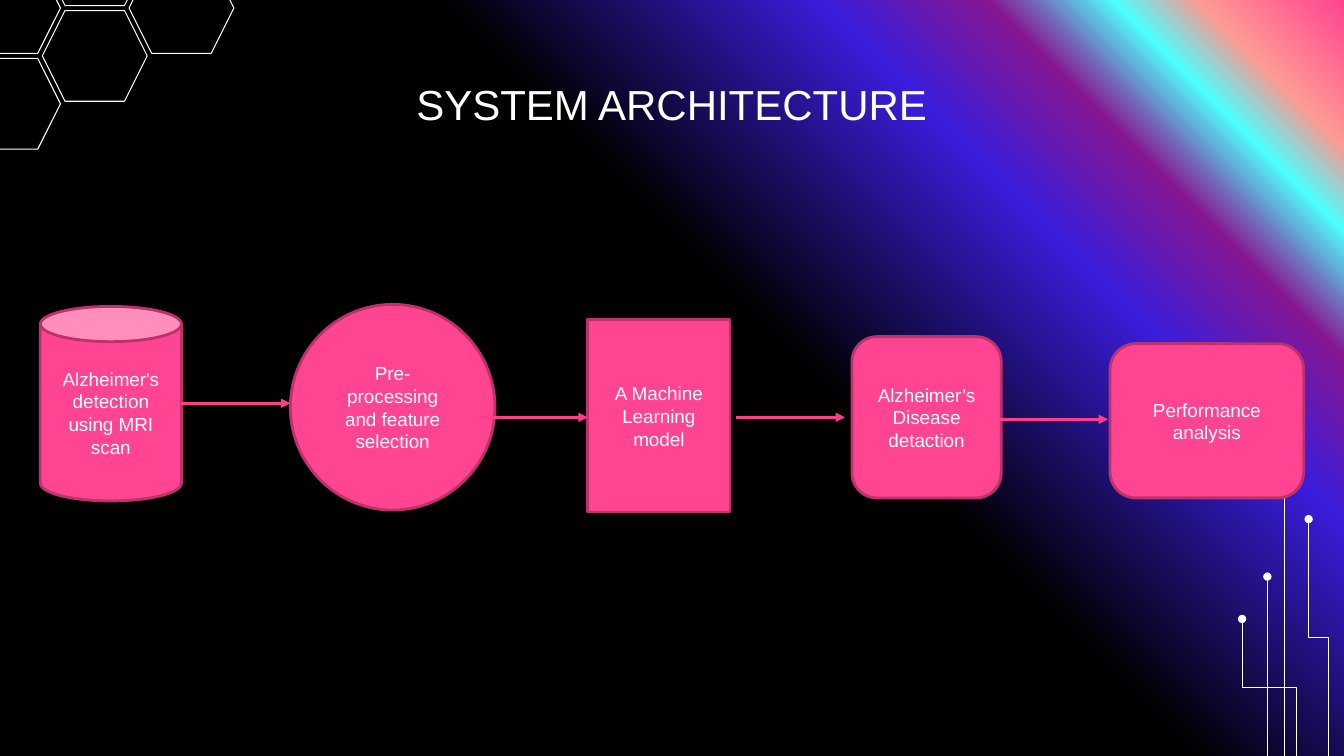
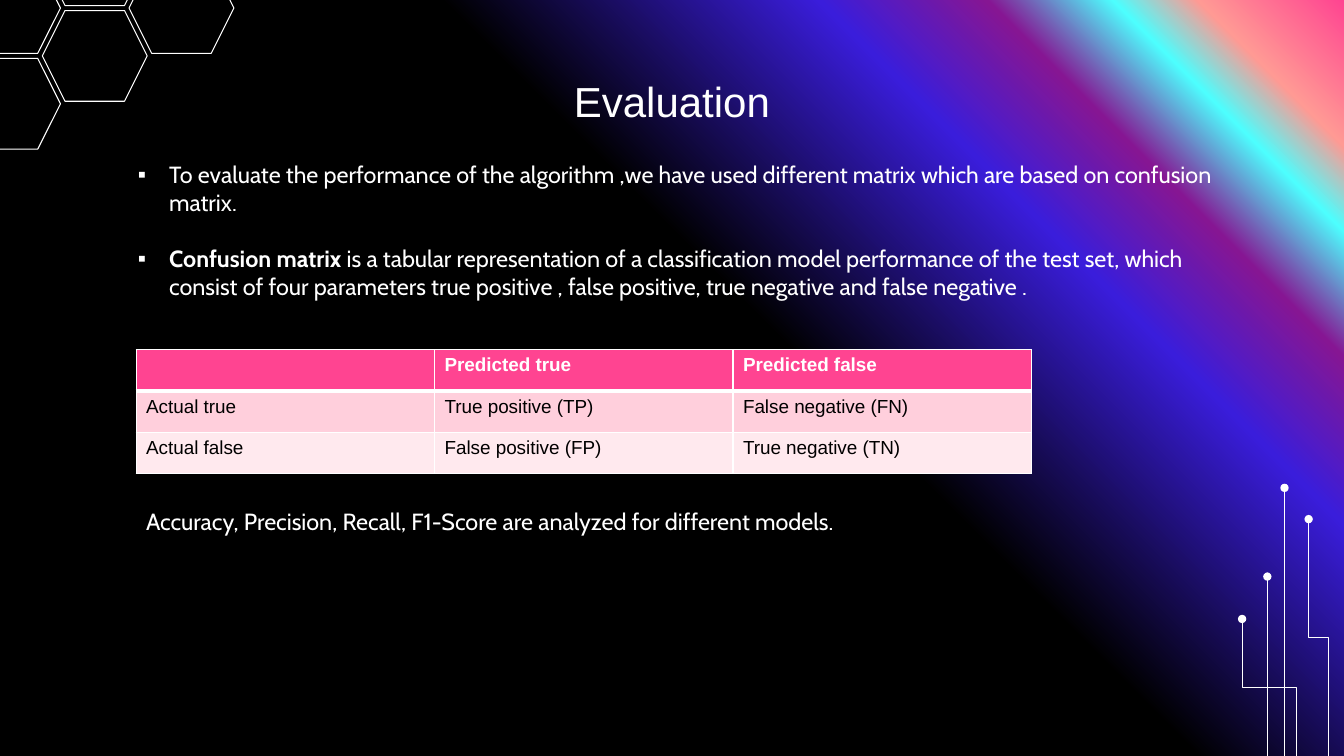
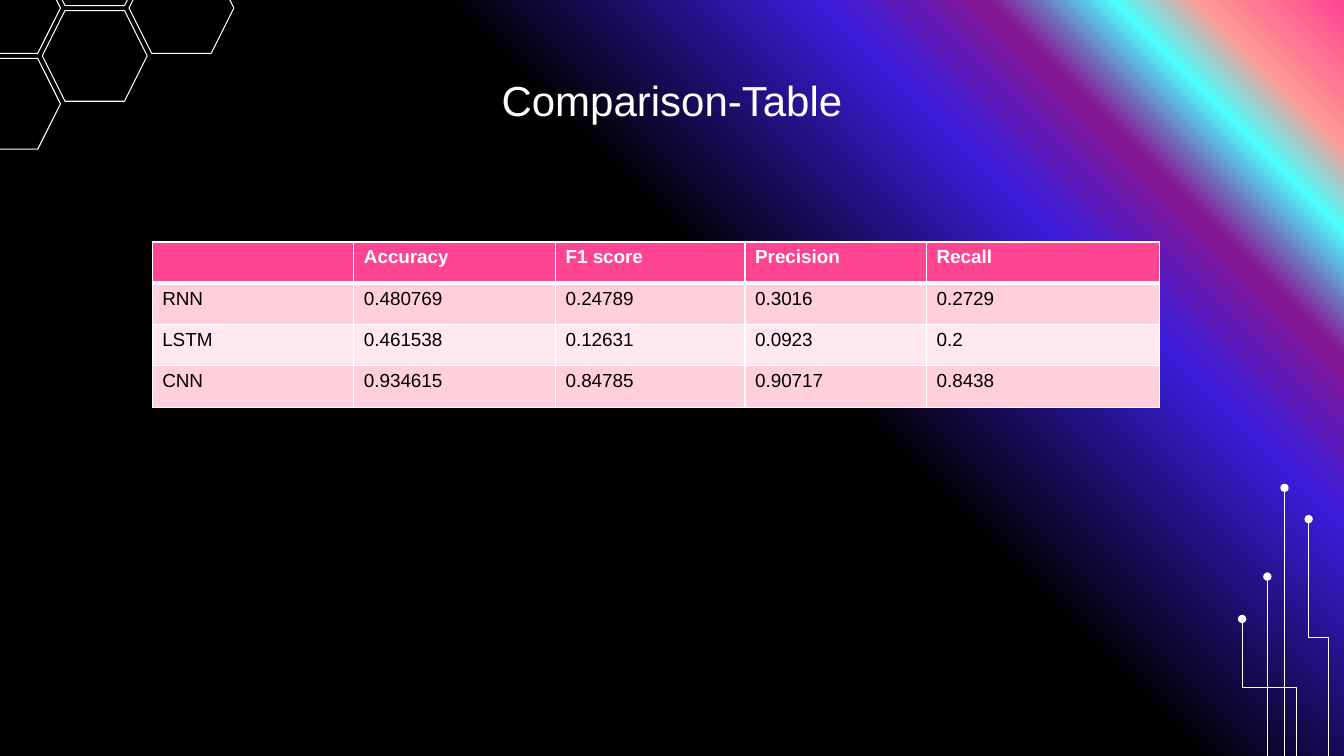
from lxml import etree
from pptx import Presentation
from pptx.dml.color import RGBColor
from pptx.enum.shapes import MSO_CONNECTOR, MSO_SHAPE
from pptx.enum.text import MSO_ANCHOR, PP_ALIGN
from pptx.oxml.ns import qn
from pptx.util import Inches, Pt

STRAIGHT, ELBOW = MSO_CONNECTOR.STRAIGHT, MSO_CONNECTOR.ELBOW
HEXAGON, CAN, OVAL = MSO_SHAPE.HEXAGON, MSO_SHAPE.CAN, MSO_SHAPE.OVAL
RECT, ROUND = MSO_SHAPE.RECTANGLE, MSO_SHAPE.ROUNDED_RECTANGLE
LEFT, CENTER = PP_ALIGN.LEFT, PP_ALIGN.CENTER
TOP, MIDDLE = MSO_ANCHOR.TOP, MSO_ANCHOR.MIDDLE

SLIDE_W, SLIDE_H = 13.33, 7.5
MARGIN, CONTENT_W = 1.05, 11.23
HEAD_FONT, BODY_FONT = "Arial", "Cabin"
TITLE_SIZE, BODY_SIZE, LABEL_SIZE = 30, 16.7, 13.5
COLORS = {
    "white": "FFFFFF", "black": "000000", "pink": "FF4491", "edge": "BD326B",
    "arrow": "FE3E8D", "band_dark": "FFCFDC", "band_light": "FFE9EE",
    "peach": "FF9A94", "cyan": "4DFFFF", "purple": "861693", "blue": "3A1DDB",
}
GRADIENT = [(0, "pink"), (7, "peach"), (11, "cyan"), (17, "purple"),
            (25, "blue"), (43, "black"), (100, "black")]


def rgb(name):
    """Return a palette colour."""
    return RGBColor.from_string(COLORS[name])


def add_xml(parent, tag, **attrs):
    """Append a child element with the given attributes."""
    return etree.SubElement(parent, qn(tag), attrs)


def add_color(parent, name):
    """Append a palette colour element."""
    return add_xml(parent, "a:srgbClr", val=COLORS[name])


def set_font(p, size, font=HEAD_FONT, color="white", bold=False, align=LEFT):
    """Set the font and alignment of a paragraph."""
    p.alignment = align
    p.font.size, p.font.name, p.font.bold = Pt(size), font, bold
    p.font.color.rgb = rgb(color)


def add_text(slide, box, inset=None):
    """Add a wrapping text box and return its text frame."""
    tf = slide.shapes.add_textbox(*map(Inches, box)).text_frame
    tf.word_wrap, tf.vertical_anchor = True, TOP
    if inset is not None:
        tf.margin_left = tf.margin_right = Inches(inset)
        tf.margin_top = tf.margin_bottom = Inches(inset)
    return tf


def add_line(shapes, kind, start, end, color, width, tip):
    """Add a connector with a tip at its end."""
    c = shapes.add_connector(kind, *map(Inches, (*start, *end)))
    c.line.color.rgb, c.line.width = rgb(color), Pt(width)
    sp_pr = c.element.spPr
    add_xml(sp_pr.find(qn("a:ln")), "a:tailEnd", type=tip)
    add_xml(sp_pr, "a:effectLst")
    return c


def set_background(master):
    """Fill the master with a gradient that starts at the top right corner."""
    master.background.fill.solid()
    bg = master.element.xpath("p:cSld/p:bg/p:bgPr")[0]
    bg.remove(bg[0])
    grad = etree.Element(qn("a:gradFill"), rotWithShape="1")
    bg.insert(0, grad)
    stops = add_xml(grad, "a:gsLst")
    for pos, name in GRADIENT:
        add_color(add_xml(stops, "a:gs", pos=str(pos * 1000)), name)
    path = add_xml(grad, "a:path", path="circle")
    add_xml(path, "a:fillToRect", l="100000", b="100000")
    add_xml(grad, "a:tileRect", t="-100000", r="-100000")


def add_honeycomb(shapes, x, y):
    """Outline five hexagons on a staggered grid."""
    col_w, row_h = 0.86, 0.95
    for col, row in [(1, -0.5), (0, 0), (1, 0.5), (0, 1), (2, 0)]:
        at = (x + col * col_w, y + row * row_h, 1.04, 0.9)
        sp = shapes.add_shape(HEXAGON, *map(Inches, at))
        sp.shadow.inherit = False
        sp.adjustments[0] = 0.25
        sp.fill.background()
        sp.line.color.rgb, sp.line.width = rgb("white"), Pt(0.75)


def add_circuit(shapes, bottom):
    """Draw circuit traces that rise from the bottom edge."""
    for x0, x1, top in [(13.18, 12.98, 5.15), (12.57, 12.57, 5.72),
                        (12.74, 12.74, 4.84), (12.86, 12.32, 6.14)]:
        if x0 == x1:
            add_line(shapes, STRAIGHT, (x0, bottom), (x1, top), "white", 0.75, "oval")
            continue
        cx, cy = (x0 + x1) / 2, (bottom + top) / 2
        half_w, half_h = (x0 - x1) / 2, (bottom - top) / 2
        c = add_line(shapes, ELBOW, (cx + half_h, cy - half_w),
                     (cx - half_h, cy + half_w), "white", 0.75, "oval")
        c.element.spPr.xfrm.set("rot", "5400000")


def add_decor(slide, layout):
    """Build the shared decoration and place it on the layout."""
    for draw, place in [(add_honeycomb, (-0.44, -0.37)), (add_circuit, (SLIDE_H,))]:
        group = slide.shapes.add_group_shape()
        draw(group.shapes, *place)
        layout.shapes.element.append(group.element)


def add_title(slide, text, top):
    """Add the centred slide title."""
    tf = add_text(slide, (MARGIN, top, CONTENT_W, 0.84), 0.1)
    tf.text = text
    set_font(tf.paragraphs[0], TITLE_SIZE, align=CENTER)


def add_flow(slide, x, y, steps, arrows):
    """Add the process steps and the arrows between them."""
    for kind, dx, dy, w, h, text in steps:
        sp = slide.shapes.add_shape(kind, *map(Inches, (x + dx, y + dy, w, h)))
        sp.shadow.inherit = False
        sp.fill.solid()
        sp.fill.fore_color.rgb = rgb("pink")
        sp.line.color.rgb, sp.line.width = rgb("edge"), Pt(2)
        tf = sp.text_frame
        tf.text, tf.word_wrap, tf.vertical_anchor = text, True, MIDDLE
        for p in tf.paragraphs:
            set_font(p, LABEL_SIZE, align=CENTER)
    for dx, dy in arrows:
        start, end = (x + dx, y + dy), (x + dx + 1.08, y + dy)
        add_line(slide.shapes, STRAIGHT, start, end, "arrow", 2.25, "triangle")


def add_bullets(slide, box, items):
    """Add bulleted paragraphs, each with an optional bold lead."""
    tf = add_text(slide, box, 0.1)
    for i, (lead, text) in enumerate(items):
        p = tf.add_paragraph() if i else tf.paragraphs[0]
        p_pr = p._p.get_or_add_pPr()
        p_pr.set("marL", str(Inches(0.53)))
        p_pr.set("indent", str(Inches(-0.31)))
        add_color(add_xml(p_pr, "a:buClr"), "white")
        add_xml(p_pr, "a:buFont", typeface=HEAD_FONT)
        add_xml(p_pr, "a:buChar", char="▪")
        if lead:
            r = p.add_run()
            r.text, r.font.bold = lead, True
        p.add_run().text = text
        p.space_before = Pt(20 if i else 0)
        set_font(p, BODY_SIZE, BODY_FONT)


def set_borders(cell, top, bottom):
    """Give a cell white borders of the given top and bottom widths."""
    tc_pr = cell._tc.get_or_add_tcPr()
    for i, (side, width) in enumerate([("L", 1), ("R", 1), ("T", top), ("B", bottom)]):
        ln = etree.Element(qn("a:ln" + side), w=str(Pt(width)))
        add_color(add_xml(ln, "a:solidFill"), "white")
        tc_pr.insert(i, ln)


def add_grid(slide, x, y, widths, rows):
    """Add a table with a pink header and banded rows."""
    row_h = 0.41
    size = (sum(widths), row_h * len(rows))
    table = slide.shapes.add_table(len(rows), len(widths),
                                   *map(Inches, (x, y, *size))).table
    table.horz_banding = False
    for col, width in zip(table.columns, widths):
        col.width = Inches(width)
    for i, row in enumerate(rows):
        table.rows[i].height = Inches(row_h)
        fill = ("band_dark" if i % 2 else "band_light") if i else "pink"
        for j, text in enumerate(row):
            cell = table.cell(i, j)
            cell.text = text
            cell.fill.solid()
            cell.fill.fore_color.rgb = rgb(fill)
            set_borders(cell, 3 if i == 1 else 1, 1 if i else 3)
            set_font(cell.text_frame.paragraphs[0], LABEL_SIZE,
                     color="black" if i else "white", bold=not i)


def build_architecture(slide):
    """Build the system architecture slide."""
    add_title(slide, "SYSTEM ARCHITECTURE", 0.68)
    steps = [
        (CAN, 0, 0.02, 1.4, 1.93, "Alzheimer's detection using MRI scan"),
        (OVAL, 2.48, 0, 2.03, 2.04, "Pre-processing and feature selection"),
        (RECT, 5.43, 0.15, 1.41, 1.91, "A Machine Learning model"),
        (ROUND, 8.05, 0.32, 1.48, 1.6, "Alzheimer’s\nDisease detaction"),
        (ROUND, 10.61, 0.39, 1.92, 1.53, "Performance analysis"),
    ]
    arrows = [(1.4, 0.98), (4.35, 1.12), (6.9, 1.12), (9.51, 1.14)]
    add_flow(slide, 0.4, 3.02, steps, arrows)


def build_evaluation(slide):
    """Build the evaluation slide."""
    add_title(slide, "Evaluation", 0.65)
    add_bullets(slide, (MARGIN, 1.49, CONTENT_W, 4.54), [
        ("", "To evaluate the performance of the algorithm ,we have used different "
             "matrix which are based on confusion matrix."),
        ("Confusion matrix ",
         "is a tabular representation of a classification model performance of the "
         "test set, which consist of four parameters true positive , false positive, "
         "true negative and false negative ."),
    ])
    add_grid(slide, 1.35, 3.47, [2.96] * 3, [
        ("", "Predicted true", "Predicted false"),
        ("Actual true", "True positive (TP)", "False negative (FN)"),
        ("Actual false", "False positive (FP)", "True negative (TN)"),
    ])
    tf = add_text(slide, (1.35, 4.98, 8.35, 0.38))
    tf.text = "Accuracy, Precision, Recall, F1-Score are analyzed for different models."
    set_font(tf.paragraphs[0], BODY_SIZE, BODY_FONT)


def build_comparison(slide):
    """Build the model comparison slide."""
    add_title(slide, "Comparison-Table", 0.64)
    add_grid(slide, 1.51, 2.4, [2, 2, 1.88, 1.8, 2.31], [
        ("", "Accuracy", "F1 score", "Precision", "Recall"),
        ("RNN", "0.480769", "0.24789", "0.3016", "0.2729"),
        ("LSTM", "0.461538", "0.12631", "0.0923", "0.2"),
        ("CNN", "0.934615", "0.84785", "0.90717", "0.8438"),
    ])


def main():
    """Build and save the presentation."""
    prs = Presentation()
    prs.slide_width, prs.slide_height = Inches(SLIDE_W), Inches(SLIDE_H)
    layout = prs.slide_layouts[6]
    set_background(prs.slide_master)
    for i, build in enumerate([build_architecture, build_evaluation, build_comparison]):
        slide = prs.slides.add_slide(layout)
        if i == 0:
            add_decor(slide, layout)
        build(slide)
    prs.save("out.pptx")


if __name__ == "__main__":
    main()
